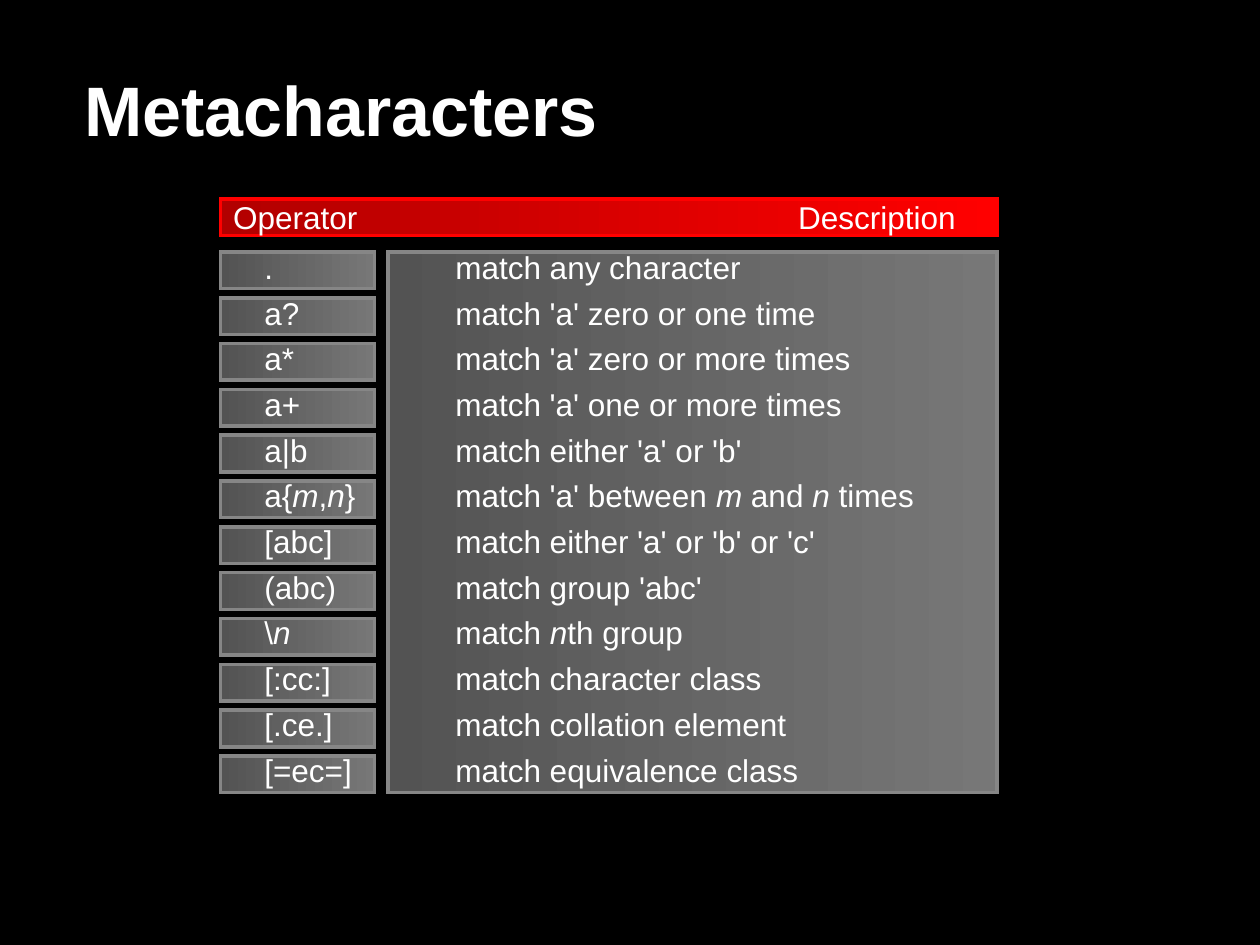
import pptx
import pptx.dml.color
import pptx.enum.shapes
import pptx.enum.text
import pptx.oxml
import pptx.oxml.ns
import pptx.util
from lxml import etree

Cm = pptx.util.Cm
Pt = pptx.util.Pt


def color(value):
    return pptx.dml.color.RGBColor.from_string(value)


def write(frame, text, size=18, bold=False, tab=None, space=0, line=1.0, anchor="TOP", margins=(0.25, 0.13)):
    frame.word_wrap = True
    frame.vertical_anchor = getattr(pptx.enum.text.MSO_ANCHOR, anchor)
    frame.margin_left = frame.margin_right = Cm(margins[0])
    frame.margin_top = frame.margin_bottom = Cm(margins[1])
    for index, content in enumerate(text.split("\n")):
        paragraph = frame.add_paragraph() if index else frame.paragraphs[0]
        paragraph.alignment = pptx.enum.text.PP_ALIGN.LEFT
        if tab:
            tabs = etree.SubElement(paragraph._p.get_or_add_pPr(), pptx.oxml.ns.qn("a:tabLst"))
            etree.SubElement(tabs, pptx.oxml.ns.qn("a:tab"), pos=str(Cm(tab)), algn="l")
        paragraph.line_spacing = line
        paragraph.space_before = Pt(space if index else 0)
        for part, words in enumerate(content.split("_")):
            if words:
                run = paragraph.add_run()
                run.text = words
                run.font.name = "Arial"
                run.font.size = Pt(size)
                run.font.bold = bold
                run.font.italic = part % 2 == 1
                run.font.color.rgb = color("FFFFFF")


rows = [
    (".", "match any character"),
    ("a?", "match 'a' zero or one time"),
    ("a*", "match 'a' zero or more times"),
    ("a+", "match 'a' one or more times"),
    ("a|b", "match either 'a' or 'b'"),
    ("a{_m_,_n_}", "match 'a' between _m_ and _n_ times"),
    ("[abc]", "match either 'a' or 'b' or 'c'"),
    ("(abc)", "match group 'abc'"),
    ("\\_n_", "match _n_th group"),
    ("[:cc:]", "match character class"),
    ("[.ce.]", "match collation element"),
    ("[=ec=]", "match equivalence class"),
]

presentation = pptx.Presentation()
presentation.slide_width = Cm(25.4)
presentation.slide_height = Cm(19.05)
slide = presentation.slides.add_slide(presentation.slide_layouts[6])
slide.background.fill.solid()
slide.background.fill.fore_color.rgb = color("000000")

left, top, row_height, pitch = 4.45, 5.08, 0.74, 10.16 / 11
gray = ("535353", "777777", "868686")
red = ("B20000", "FF0000", "FF0000")
operators = slide.shapes.add_group_shape()
panels = [(slide, 7.82, top, 12.28, 10.9, gray)]
panels += [(operators, left, top + index * pitch, 3.1, row_height, gray) for index in range(len(rows))]
panels += [(slide, left, 4.01, 15.65, row_height, red)]
for parent, x, y, width, height, (start, end, outline) in panels:
    panel = parent.shapes.add_shape(
        pptx.enum.shapes.MSO_SHAPE.RECTANGLE, Cm(x), Cm(y), Cm(width), Cm(height))
    panel.shadow.inherit = False
    panel.fill.gradient()
    panel.fill.gradient_angle = 0
    for stop, value in zip(panel.fill.gradient_stops, (start, end)):
        stop.color.rgb = color(value)
    panel.line.color.rgb = color(outline)
    panel.line.width = Pt(2)
    etree.SubElement(panel.line._get_or_add_ln(), pptx.oxml.ns.qn("a:miter"), lim="800000")
write(panel.text_frame, "Operator\tDescription", tab=11.39, anchor="MIDDLE", margins=(0.25, 0))

body = slide.shapes.add_textbox(Cm(5.08), Cm(4.87), Cm(18.42), Cm(11.33))
write(body.text_frame, "\n".join("\t".join(row) for row in rows), tab=3.85, space=4.5)

title = slide.shapes.add_textbox(Cm(1.7), Cm(0.84), Cm(20.75), Cm(2.97))
write(title.text_frame, "Metacharacters", size=40, bold=True, line=0.85, anchor="MIDDLE", margins=(0, 0))

presentation.save("out.pptx")
